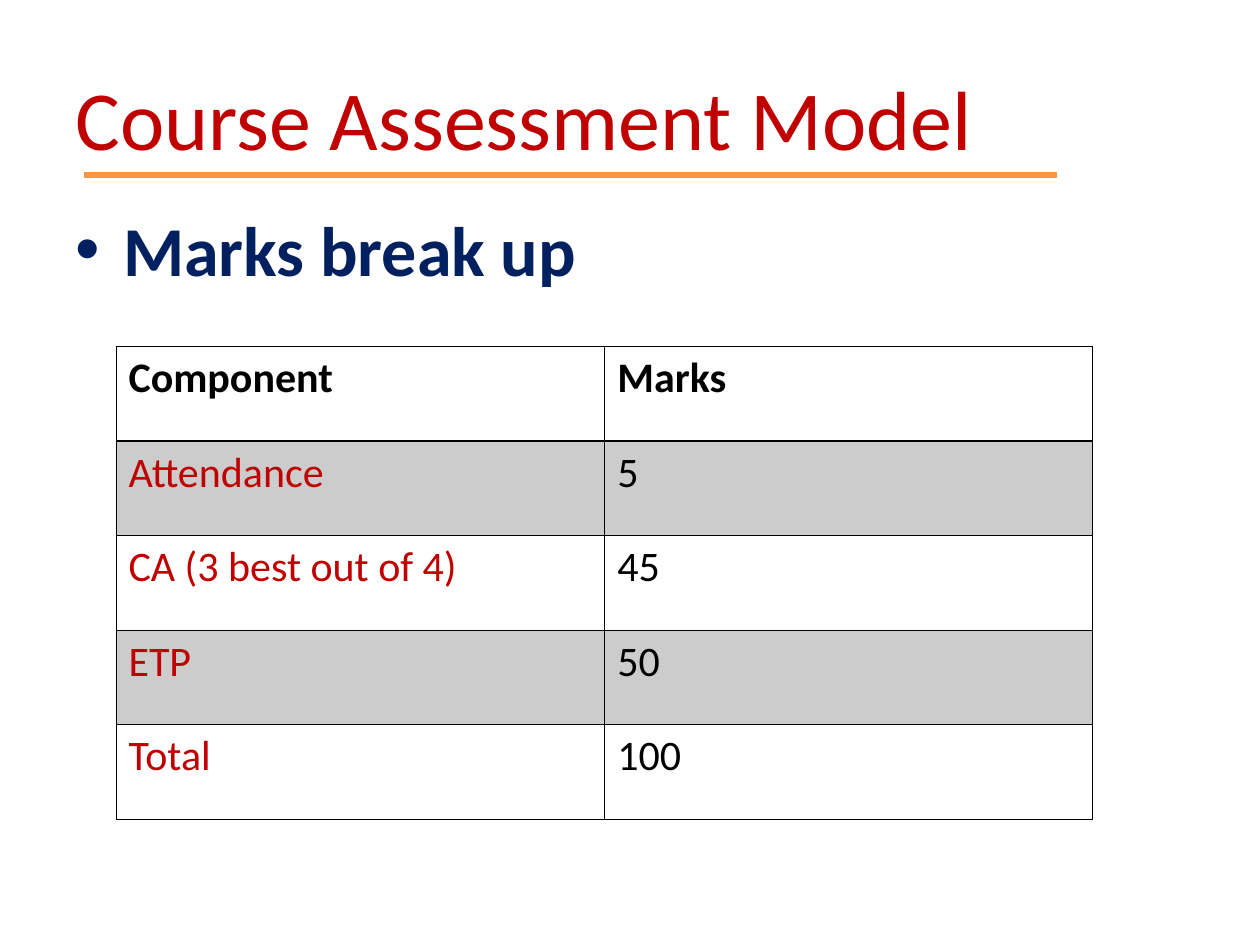
from dataclasses import dataclass

from lxml.etree import SubElement
from pptx import Presentation
from pptx.dml.color import RGBColor
from pptx.enum.shapes import MSO_CONNECTOR
from pptx.enum.text import MSO_ANCHOR
from pptx.oxml.ns import qn
from pptx.util import Inches, Pt


@dataclass(frozen=True)
class Theme:
    font: str = "Calibri"
    red: str = "C00000"
    navy: str = "002060"
    orange: str = "F79646"
    black: str = "000000"
    title_size: int = 48
    bullet_size: int = 40
    table_size: int = 24
    rule_width: int = 3
    border: float = 0.45
    header_border: float = 0.96
    band_opacity: int = 20


class SlideBuilder:
    def __init__(self, slide, theme):
        self.slide = slide
        self.theme = theme

    def style(self, paragraph, size, color, bold=False):
        for run in paragraph.runs:
            run.font.name = self.theme.font
            run.font.size = Pt(size)
            run.font.bold = bold
            run.font.color.rgb = RGBColor.from_string(color)

    def text_box(self, text, left, top, width, height, anchor):
        frame = self.slide.shapes.add_textbox(
            Inches(left), Inches(top), Inches(width), Inches(height)
        ).text_frame
        frame.word_wrap = True
        frame.vertical_anchor = anchor
        frame.text = text
        return frame.paragraphs[0]

    def title(self, text):
        heading = self.text_box(text, 0.5, 0.3, 9, 1.25, MSO_ANCHOR.MIDDLE)
        self.style(heading, self.theme.title_size, self.theme.red)

    def bullet(self, text):
        item = self.text_box(text, 0.5, 1.59, 9, 5.54, MSO_ANCHOR.TOP)
        properties = item._p.get_or_add_pPr()
        properties.set("marL", str(Inches(0.38)))
        properties.set("indent", str(-Inches(0.38)))
        bullet_color = SubElement(properties, qn("a:buClr"))
        SubElement(bullet_color, qn("a:srgbClr"), val=self.theme.navy)
        SubElement(properties, qn("a:buFont"), typeface="Arial")
        SubElement(properties, qn("a:buChar"), char="•")
        self.style(item, self.theme.bullet_size, self.theme.navy, bold=True)

    def rule(self, start, end, y):
        underline = self.slide.shapes.add_connector(
            MSO_CONNECTOR.STRAIGHT, Inches(start), Inches(y), Inches(end), Inches(y)
        )
        underline.line.color.rgb = RGBColor.from_string(self.theme.orange)
        underline.line.width = Pt(self.theme.rule_width)
        SubElement(underline._element.spPr, qn("a:effectLst"))

    def borders(self, cell, top, bottom):
        """Draw all four borders; call before filling, as the schema puts lines first."""
        sides = {"L": self.theme.border, "R": self.theme.border, "T": top, "B": bottom}
        properties = cell._tc.get_or_add_tcPr()
        for side, width in sides.items():
            line = SubElement(properties, qn(f"a:ln{side}"), w=str(Pt(width)))
            fill = SubElement(line, qn("a:solidFill"))
            SubElement(fill, qn("a:srgbClr"), val=self.theme.black)

    def band(self, cell):
        cell.fill.solid()
        cell.fill.fore_color.rgb = RGBColor.from_string(self.theme.black)
        color = cell._tc.tcPr.find(qn("a:solidFill")).find(qn("a:srgbClr"))
        SubElement(color, qn("a:alpha"), val=str(self.theme.band_opacity * 1000))

    def table(self, rows, left, top, column_widths, row_height):
        theme = self.theme
        marks = self.slide.shapes.add_table(
            len(rows), len(column_widths), Inches(left), Inches(top),
            Inches(sum(column_widths)), Inches(row_height * len(rows)),
        ).table
        marks.horz_banding = False
        for column, width in zip(marks.columns, column_widths):
            column.width = Inches(width)
        for row_index, row in enumerate(rows):
            is_header = row_index == 0
            top_border = theme.header_border if row_index == 1 else theme.border
            bottom_border = theme.header_border if is_header else theme.border
            for column_index, text in enumerate(row):
                cell = marks.cell(row_index, column_index)
                cell.text = text
                is_label = column_index == 0 and not is_header
                color = theme.red if is_label else theme.black
                self.style(cell.text_frame.paragraphs[0], theme.table_size, color, is_header)
                self.borders(cell, top_border, bottom_border)
                if row_index % 2:
                    self.band(cell)
                else:
                    cell.fill.background()


def main():
    presentation = Presentation()
    presentation.slide_width = Inches(10)
    presentation.slide_height = Inches(7.5)
    blank_layout = presentation.slide_layouts[6]
    builder = SlideBuilder(presentation.slides.add_slide(blank_layout), Theme())

    builder.title("Course Assessment Model")
    builder.bullet("Marks break up")
    builder.rule(0.67, 8.39, 1.39)
    assessment = [
        ("Component", "Marks"),
        ("Attendance", "5"),
        ("CA (3 best out of 4)", "45"),
        ("ETP", "50"),
        ("Total", "100"),
    ]
    builder.table(assessment, 0.92, 2.75, (3.88, 3.87), 0.75)
    presentation.save("out.pptx")


if __name__ == "__main__":
    main()
